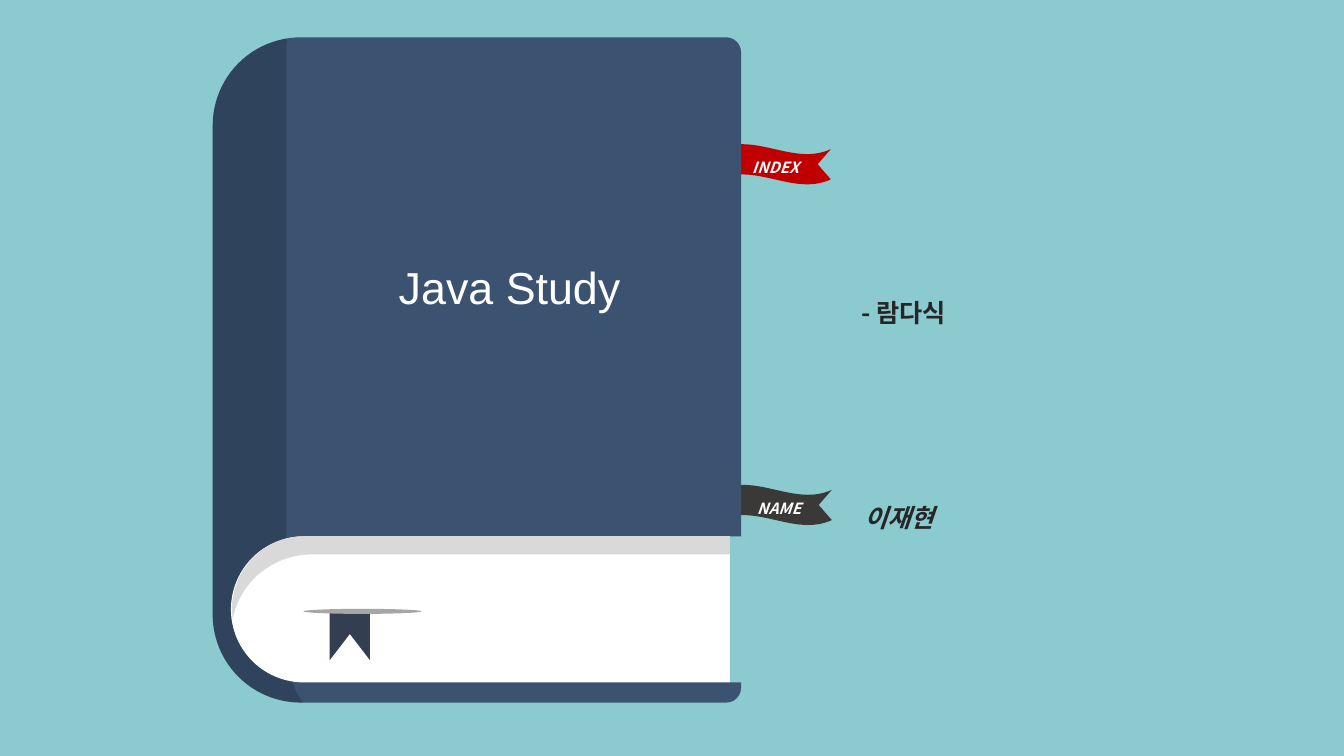
from pptx import Presentation
from pptx.dml.color import RGBColor
from pptx.enum.shapes import MSO_SHAPE
from pptx.enum.text import MSO_ANCHOR, MSO_AUTO_SIZE, PP_ALIGN
from pptx.oxml.ns import qn
from pptx.util import Inches, Pt
from lxml import etree

RECT, OVAL = MSO_SHAPE.RECTANGLE, MSO_SHAPE.OVAL
ROUND = MSO_SHAPE.ROUND_2_SAME_RECTANGLE
TOP, MIDDLE = MSO_ANCHOR.TOP, MSO_ANCHOR.MIDDLE
LEFT, CENTER = PP_ALIGN.LEFT, PP_ALIGN.CENTER
FIXED = MSO_AUTO_SIZE.NONE
SKY, NAVY, WHITE, INK = "8BCACF", "3B5271", "FFFFFF", "262626"
KOREAN = "Noto Sans CJK KR"


def paint(fill, color):
    fill.solid()
    fill.fore_color.rgb = RGBColor.from_string(color)


def finish(shape, color):
    paint(shape.fill, color)
    shape.line.fill.background()
    shape.shadow.inherit = False
    return shape


def block(slide, kind, box, color):
    return finish(slide.shapes.add_shape(kind, *map(Inches, box)), color)


def side_round(slide, box, color, radii):
    """Round the left corners by the first radius, the right by the second."""
    x, y, w, h = box
    turned = (x + (w - h) / 2, y + (h - w) / 2, h, w)
    shape = block(slide, ROUND, turned, color)
    shape.rotation = 270
    for i, part in enumerate(radii):
        shape.adjustments[i] = part


def outline(slide, x, y, nodes, color):
    """Closed shape; pairs are corners, six numbers are a cubic curve."""
    nodes = [[Inches(v + (x, y)[i % 2]) for i, v in enumerate(node)]
             for node in nodes]
    form = slide.shapes.build_freeform(*nodes[0])
    form.add_line_segments([node[-2:] for node in nodes[1:]], close=True)
    shape = form.convert_to_shape()
    # Turn the segments that have control points into curves
    lines = list(shape._element.iter(qn("a:lnTo")))
    for node, line in zip(nodes[1:], lines):
        if len(node) == 6:
            line.tag = qn("a:cubicBezTo")
            for at, i in enumerate((0, 2)):
                point = etree.Element(qn("a:pt"))
                point.set("x", str(node[i] - shape.left))
                point.set("y", str(node[i + 1] - shape.top))
                line.insert(at, point)
    return finish(shape, color)


def write(shape, box, text, size, color, face=KOREAN, spacing=1.0, bold=True,
          italic=False, align=LEFT, anchor=TOP, wrap=True, inset=(0.1, 0.05)):
    shape.left, shape.top, shape.width, shape.height = map(Inches, box)
    frame = shape.text_frame
    frame.text = text
    frame.auto_size, frame.word_wrap = FIXED, wrap
    frame.vertical_anchor = anchor
    frame.margin_left = frame.margin_right = Inches(inset[0])
    frame.margin_top = frame.margin_bottom = Inches(inset[1])
    para = frame.paragraphs[0]
    para.alignment, para.line_spacing = align, spacing
    para.space_before = Pt(0)
    font = para.font
    font.size, font.name, font.bold, font.italic = Pt(size), face, bold, italic
    paint(font.fill, color)
    # Korean face, no bullet, no indent
    props = para._p.get_or_add_pPr()
    props.set("marL", "0")
    props.set("indent", "0")
    base = props.find(qn("a:defRPr"))
    etree.SubElement(base, qn("a:ea")).set("typeface", face)
    base.addprevious(etree.Element(qn("a:buNone")))


def ribbon(slide, x, y, color, label, shift):
    wave = [(0, 0.35), (0, 0.05), (0.38, -0.12, 0.75, 0.22, 1.12, 0.05),
            (0.99, 0.2), (1.12, 0.35), (0.75, 0.52, 0.38, 0.18, 0, 0.35)]
    outline(slide, x, y, wave, color)
    tag = slide.shapes.add_textbox(0, 0, 0, 0)
    write(tag, (x + shift, y, 0.67, 0.34), label, 11, WHITE,
          spacing=1.5, italic=True, wrap=False)


def book(slide, x, y):
    # Cover and shaded spine
    side_round(slide, (x, y, 5.24, 6.6), NAVY, (0.167, 0.028))
    spine = outline(slide, x, y, [
        (0.74, 0.01), (0.73, 0.1), (0.73, 6.09),
        (0.73, 6.27, 0.79, 6.44, 0.88, 6.58), (0.9, 6.6), (0.87, 6.6),
        (0.39, 6.6, 0, 6.21, 0, 5.73), (0, 0.88),
        (0, 0.45, 0.3, 0.1, 0.7, 0.02)], "000000")
    tint = spine.fill._xPr.find(qn("a:solidFill"))[0]
    etree.SubElement(tint, qn("a:alpha")).set("val", "18000")
    # Pages, cut off short of the cover
    side_round(slide, (x + 0.18, y + 4.95, 4.95, 1.45), WHITE, (0.5, 0))
    block(slide, RECT, (x + 5.13, y + 4.95, 1.05, 1.45), SKY)
    outline(slide, x, y, [
        (0.91, 4.95), (5.13, 4.95), (5.13, 5.13), (0.99, 5.13),
        (0.6, 5.13, 0.27, 5.4, 0.2, 5.77), (0.2, 5.78), (0.19, 5.68),
        (0.19, 5.28, 0.51, 4.95, 0.91, 4.95)], "D9D9D9")
    # Bookmark
    outline(slide, x + 1.16, y + 5.68, [
        (0, 0), (0.4, 0), (0.4, 0.5), (0.2, 0.24), (0, 0.5)], "333F50")
    block(slide, OVAL, (x + 0.9, y + 5.67, 1.17, 0.05), "A6A6A6")


def cover(slide):
    paint(slide.background.fill, SKY)
    title, topic = slide.placeholders
    ribbon(slide, 7.12, 1.43, "C00000", "INDEX", 0.24)
    ribbon(slide, 7.13, 4.81, "3B3838", "NAME", 0.28)
    book(slide, 2.11, 0.37)
    # Title goes in front of the book
    slide.shapes._spTree.append(title._element)
    write(title, (2.99, 2.53, 4.13, 0.64), "Java Study", 32, WHITE,
          face="Arial", bold=False, align=CENTER)
    write(topic, (8.44, 2.6, 3.27, 0.61), "- 람다식", 18, INK, spacing=2.0)
    author = slide.shapes.add_textbox(0, 0, 0, 0)
    write(author, (8.57, 4.7, 3.01, 0.57), "이재현", 18, INK, spacing=2.0,
          italic=True, anchor=MIDDLE, inset=(0, 0))


def main():
    deck = Presentation()
    deck.slide_width, deck.slide_height = Inches(13.33), Inches(7.5)
    cover(deck.slides.add_slide(deck.slide_layouts[1]))
    deck.save("out.pptx")


if __name__ == "__main__":
    main()
